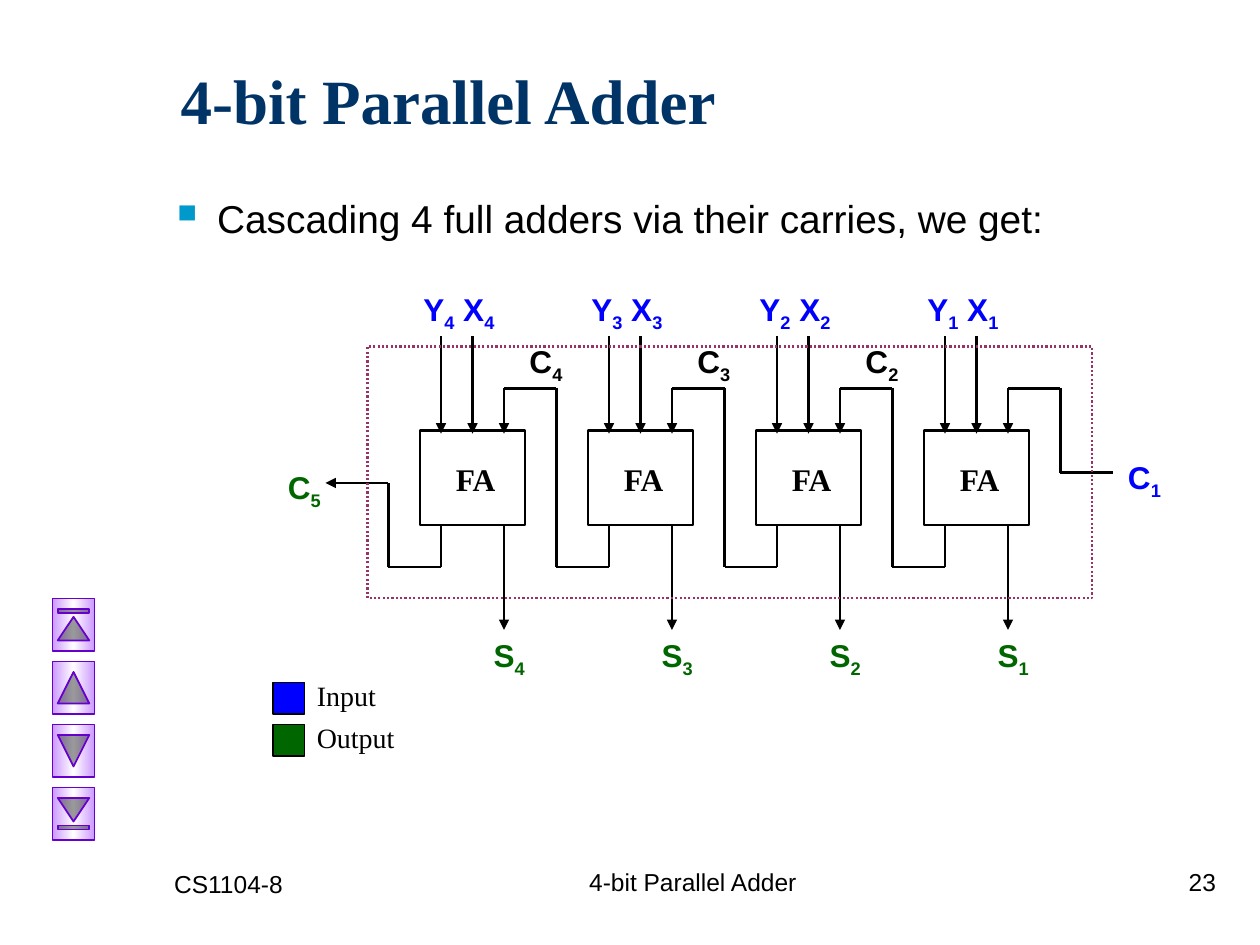
import dataclasses
import itertools

import lxml.etree
import pptx
import pptx.dml.color
import pptx.enum.dml
import pptx.enum.shapes
import pptx.enum.text
import pptx.oxml.ns
import pptx.util

SCALE = 7620  # EMU per px, 120 px to the inch
HUES = {
    "navy": "003366", "black": "000000", "input": "0000FF",
    "output": "006600", "plum": "993366", "bullet": "0099CC",
    "lilac": "CC99FF", "white": "FFFFFF", "violet": "6600CC",
}
SANS, SERIF = "Arial", "Times New Roman"
Kind = pptx.enum.shapes.MSO_SHAPE
Align = pptx.enum.text.PP_ALIGN
qn = pptx.oxml.ns.qn


@dataclasses.dataclass
class Box:
    x: int
    y: int
    w: int
    h: int

    def emu(self) -> list[int]:
        return [v * SCALE for v in (self.x, self.y, self.w, self.h)]


@dataclasses.dataclass
class Style:
    size: float
    hue: str = "black"
    face: str = SANS
    bold: bool = False
    align: Align = Align.LEFT
    before: float = 0
    sub: bool = False  # set digits as subscripts


def color(name: str) -> pptx.dml.color.RGBColor:
    return pptx.dml.color.RGBColor.from_string(HUES[name])


def fill_text(frame, text: str, style: Style) -> None:
    frame.word_wrap = True
    frame.auto_size = pptx.enum.text.MSO_AUTO_SIZE.NONE
    para = frame.paragraphs[0]
    para.alignment = style.align
    para.space_before = pptx.util.Pt(style.before)
    font = para.font
    font.size, font.name, font.bold = pptx.util.Pt(style.size), style.face, style.bold
    font.color.rgb = color(style.hue)
    parts = itertools.groupby(text, str.isdigit) if style.sub else [(False, text)]
    for low, chars in parts:
        run = para.add_run()
        run.text = "".join(chars)
        if low:
            run.font._element.set("baseline", "-25000")


def add_text(slide, box: Box, text: str, style: Style):
    shape = slide.shapes.add_textbox(*box.emu())
    fill_text(shape.text_frame, text, style)
    return shape


def add_label(slide, box: Box, text: str, hue: str, face: str = SANS) -> None:
    add_text(slide, box, text, Style(18, hue, face, True, Align.CENTER, 2.2, face == SANS))


def add_box(slide, box: Box, line: str, width: float, fill: str = "", kind: Kind = Kind.RECTANGLE):
    shape = slide.shapes.add_shape(kind, *box.emu())
    shape.shadow.inherit = False
    shape.line.color.rgb = color(line)
    shape.line.width = pptx.util.Pt(width)
    if fill:
        shape.fill.solid()
        shape.fill.fore_color.rgb = color(fill)
    else:
        shape.fill.background()
    return shape


def add_wire(slide, *points: tuple[int, int], arrow: bool = False) -> None:
    """Draw straight pieces through the points, with an arrowhead on the last."""
    for start, end in itertools.pairwise(points):
        ends = [v * SCALE for v in start + end]
        wire = slide.shapes.add_connector(pptx.enum.shapes.MSO_CONNECTOR.STRAIGHT, *ends)
        wire.line.color.rgb = color("black")
        wire.line.width = pptx.util.Pt(1.25)
        props = wire._element.spPr
        lxml.etree.SubElement(props, qn("a:effectLst"))
        if arrow and end == points[-1]:
            lxml.etree.SubElement(props.find(qn("a:ln")), qn("a:tailEnd"), type="triangle")


def add_bullet(slide, box: Box, text: str) -> None:
    shape = add_text(slide, box, text, Style(22.2, before=6))
    props = shape.text_frame.paragraphs[0]._p.get_or_add_pPr()
    props.set("marL", str(45 * SCALE))
    props.set("indent", str(-45 * SCALE))
    tint = lxml.etree.Element(qn("a:buClr"))
    lxml.etree.SubElement(tint, qn("a:srgbClr"), val=HUES["bullet"])
    size = lxml.etree.Element(qn("a:buSzPct"), val="120000")
    mark = lxml.etree.Element(qn("a:buChar"), char="▪")
    rest = props.find(qn("a:defRPr"))
    for item in (tint, size, mark):
        if rest is None:
            props.append(item)
        else:
            rest.addprevious(item)


def add_button(slide, box: Box, kind: Kind) -> None:
    shape = add_box(slide, box, "violet", 1, kind=kind)
    shape.rotation = 90
    shape.fill.gradient()
    shape.fill.gradient_angle = 270
    for stop in shape.fill.gradient_stops:
        stop.color.rgb = color("lilac")
    # White band halfway between the two end stops
    stops = shape._element.spPr.find(qn("a:gradFill")).find(qn("a:gsLst"))
    mid = lxml.etree.Element(qn("a:gs"), pos="50000")
    lxml.etree.SubElement(mid, qn("a:srgbClr"), val=HUES["white"])
    stops.insert(1, mid)


def add_adder(slide, bit: int, x: int) -> None:
    add_box(slide, Box(x, 410, 100, 90), "black", 1.5)
    add_label(slide, Box(x + 13, 432, 80, 48), "FA", "black", SERIF)
    add_label(slide, Box(x - 20, 270, 114, 53), f"Y{bit} X{bit}", "input")
    add_label(slide, Box(x + 50, 600, 70, 53), f"S{bit}", "output")
    for port in (20, 50):
        add_wire(slide, (x + port, 320), (x + port, 413), arrow=True)
    add_wire(slide, (x + 80, 500), (x + 80, 600), arrow=True)
    # Carry in: from the outside for bit 1, else from the adder on the right
    if bit == 1:
        source = [(x + 180, 450), (x + 130, 450)]
    else:
        source = [(x + 180, 500), (x + 180, 540), (x + 130, 540)]
        add_label(slide, Box(x + 90, 320, 60, 53), f"C{bit}", "black")
    add_wire(slide, *source, (x + 130, 370), (x + 80, 370), (x + 80, 413), arrow=True)


def main() -> None:
    deck = pptx.Presentation()
    deck.slide_width, deck.slide_height = 1200 * SCALE, 900 * SCALE
    slide = deck.slides.add_slide(deck.slide_layouts[5])

    # Title and bullet
    title = slide.shapes.title
    title.left, title.top, title.width, title.height = Box(160, 20, 1020, 150).emu()
    title.text_frame.vertical_anchor = pptx.enum.text.MSO_ANCHOR.MIDDLE
    fill_text(title.text_frame, "4-bit Parallel Adder", Style(36, "navy", SERIF, True))
    add_bullet(slide, Box(150, 180, 1020, 60), "Cascading 4 full adders via their carries, we get:")

    # Adders, from bit 4 on the left to bit 1 on the right
    for col, bit in enumerate((4, 3, 2, 1)):
        add_adder(slide, bit, 400 + 160 * col)

    # Outer carries and frame
    add_label(slide, Box(1060, 430, 60, 53), "C1", "input")
    add_label(slide, Box(260, 440, 60, 53), "C5", "output")
    add_wire(slide, (420, 500), (420, 540), (370, 540), (370, 460), (310, 460), arrow=True)
    frame = add_box(slide, Box(350, 330, 690, 240), "plum", 1.25)
    frame.line.dash_style = pptx.enum.dml.MSO_LINE.ROUND_DOT

    # Legend
    for row, name in enumerate(("Input", "Output")):
        y = 650 + 40 * row
        add_box(slide, Box(260, y, 30, 30), "black", 0.75, name.lower())
        add_text(slide, Box(290, y - 10, 120, 44), name, Style(16, face=SERIF, before=10))

    # Navigation buttons
    kinds = (Kind.ACTION_BUTTON_BEGINNING, Kind.ACTION_BUTTON_BACK_OR_PREVIOUS,
             Kind.ACTION_BUTTON_FORWARD_OR_NEXT, Kind.ACTION_BUTTON_END)
    for row, kind in enumerate(kinds):
        add_button(slide, Box(45, 575 + 60 * row, 50, 40), kind)

    # Footer
    for box, text, align in (
        (Box(154, 822, 250, 60), "CS1104-8", Align.LEFT),
        (Box(470, 820, 380, 60), "4-bit Parallel Adder", Align.CENTER),
        (Box(920, 820, 250, 60), "23", Align.RIGHT),
    ):
        add_text(slide, box, text, Style(14, align=align, before=8.8))

    deck.save("out.pptx")


if __name__ == "__main__":
    main()
